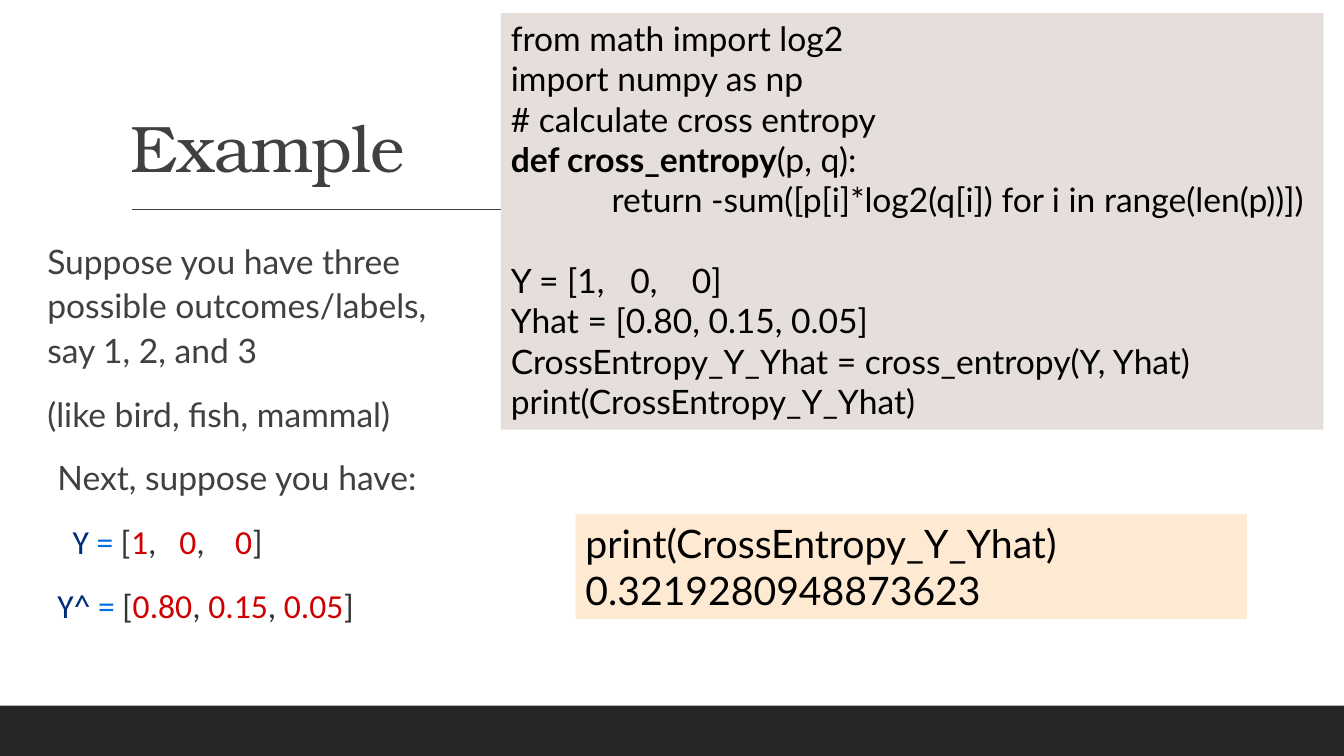
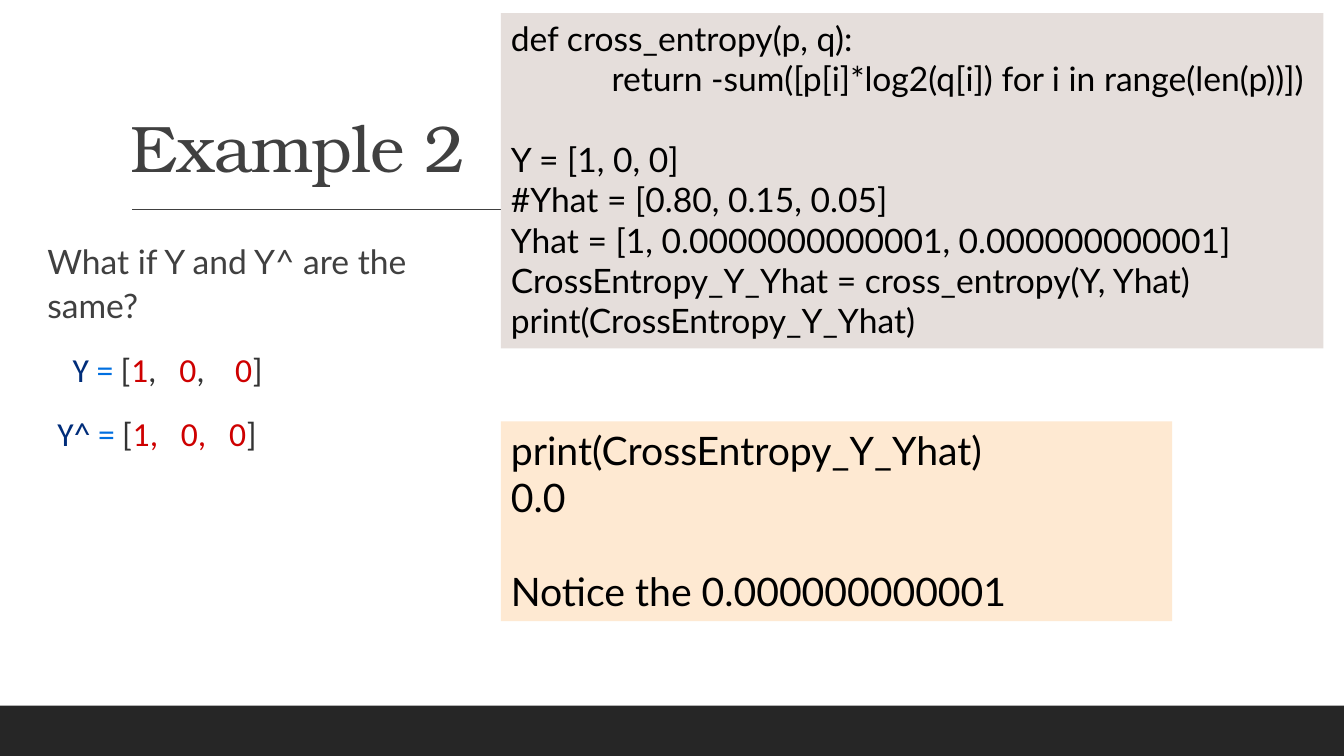
import itertools
from dataclasses import dataclass

import pptx
import pptx.dml.color
import pptx.enum.shapes
import pptx.enum.text
import pptx.oxml
import pptx.util
from pptx.util import Pt

# Shared look
SLIDE_W, SLIDE_H = 960, 540
BAND_H = 36
TITLE_FONT, TEXT_FONT, MATH_FONT = "TeX Gyre Bonum", "Lato", "Calibri"
BAND, GREY, BLACK = "262626", "404040", "000000"
NAVY, BLUE, DARK, RED = "002D7A", "006FE0", "333333", "CE0000"
CODE_FILL, OUTPUT_FILL = "E5DEDB", "FEE9D2"
CODE_SIZE, OUTPUT_SIZE, BODY_SIZE = 24, 28, 24
LINE_FACTOR = 1.21  # line height of the text font, per point of size
CODE_LEFT, CODE_TOP, CODE_W = 357.84, 9.36, 587.52
OUTPUT_W = 479.52
TAB = 72
SHAPE = pptx.enum.shapes.MSO_SHAPE
ANCHOR = pptx.enum.text.MSO_ANCHOR


@dataclass(frozen=True)
class Run:
    text: str
    color: str = BLACK
    font: str = TEXT_FONT
    bold: bool = False


@dataclass(frozen=True)
class Para:
    runs: tuple[Run, ...]
    indent: float = 0
    gap_lines: int = 0  # empty lines above


@dataclass(frozen=True)
class Panel:
    left: float
    top: float
    width: float
    fill: str
    size: float
    paras: tuple[Para, ...]


@dataclass(frozen=True)
class Example:
    title: str
    body: tuple[Para, ...]
    code: Panel
    output: Panel


# Text builders
def line(text: str, indent: float = 0, gap_lines: int = 0) -> Para:
    return Para((Run(text),), indent, gap_lines)


def prose(text: str, indent: float = 0) -> Para:
    return Para((Run(text, GREY),), indent)


def equation(name: str, indent: float, *parts: str) -> Para:
    """Parts alternate between punctuation and values."""
    values = zip(parts, itertools.cycle((DARK, RED)))
    pairs = [(name, NAVY), (" = ", BLUE), *values]
    return Para(tuple(Run(t, c, MATH_FONT) for t, c in pairs), indent)


# Drawing helpers
def rgb(color: str) -> pptx.dml.color.RGBColor:
    return pptx.dml.color.RGBColor.from_string(color)


def style_run(r, size: float, color: str, font: str, bold: bool = False) -> None:
    r.font.size = Pt(size)
    r.font.name = font
    r.font.bold = bold
    r.font.color.rgb = rgb(color)


def add_text(s, left: float, top: float, width: float, height: float):
    sp = s.shapes.add_textbox(Pt(left), Pt(top), Pt(width), Pt(height))
    sp.text_frame.word_wrap = True
    return sp


def fill_paras(tf, paras: tuple[Para, ...], size: float) -> None:
    for i, para in enumerate(paras):
        p = tf.add_paragraph() if i else tf.paragraphs[0]
        if para.indent:
            p._p.get_or_add_pPr().set("marL", str(Pt(para.indent)))
        if para.gap_lines:
            p.space_before = Pt(para.gap_lines * size * 1.2)
        for run in para.runs:
            r = p.add_run()
            r.text = run.text
            style_run(r, size, run.color, run.font, run.bold)


def draw_frame(s) -> None:
    """Bottom band and the rule below the title."""
    sp = s.shapes.add_shape(SHAPE.RECTANGLE, Pt(0), Pt(SLIDE_H - BAND_H),
                            Pt(SLIDE_W), Pt(BAND_H))
    sp.shadow.inherit = False
    sp.fill.solid()
    sp.fill.fore_color.rgb = rgb(BAND)
    sp.line.fill.background()
    rule = s.shapes.add_connector(pptx.enum.shapes.MSO_CONNECTOR.STRAIGHT,
                                  Pt(94.32), Pt(149.76), Pt(879.12), Pt(149.76))
    rule.line.color.rgb = rgb(GREY)
    rule.line.width = Pt(1)
    rule._element.spPr.append(pptx.oxml.parse_xml(
        '<a:effectLst xmlns:a="http://schemas.openxmlformats.org/drawingml/2006/main"/>'))


def draw_title(s, text: str) -> None:
    tf = add_text(s, 86.4, 22.32, 792, 114.48).text_frame
    tf.vertical_anchor = ANCHOR.BOTTOM
    tf.text = text
    p = tf.paragraphs[0]
    p.line_spacing = 0.9
    r = p.runs[0]
    style_run(r, 47, GREY, TITLE_FONT)
    r._r.get_or_add_rPr().set("spc", "-50")


def draw_body(s, paras: tuple[Para, ...]) -> None:
    tf = add_text(s, 33.84, 165.6, 298.08, 295.92).text_frame
    tf.margin_left = tf.margin_right = 0
    fill_paras(tf, paras, BODY_SIZE)
    for p in tf.paragraphs:
        p.line_spacing = 1.1
        p.space_before = Pt(12)
        p.space_after = Pt(2)


def draw_panel(s, panel: Panel) -> None:
    lines = sum(1 + para.gap_lines for para in panel.paras)
    height = lines * panel.size * LINE_FACTOR + 7.2
    sp = add_text(s, panel.left, panel.top, panel.width, height)
    sp.fill.solid()
    sp.fill.fore_color.rgb = rgb(panel.fill)
    sp.text_frame.auto_size = pptx.enum.text.MSO_AUTO_SIZE.SHAPE_TO_FIT_TEXT
    fill_paras(sp.text_frame, panel.paras, panel.size)


def code_panel(*paras: Para) -> Panel:
    return Panel(CODE_LEFT, CODE_TOP, CODE_W, CODE_FILL, CODE_SIZE, paras)


def output_panel(left: float, top: float, *paras: Para) -> Panel:
    return Panel(left, top, OUTPUT_W, OUTPUT_FILL, OUTPUT_SIZE, paras)


# Content
RETURN_LINE = line("return -sum([p[i]*log2(q[i]) for i in range(len(p))])", TAB)
PRINT_LINE = line("print(CrossEntropy_Y_Yhat)")
CALL_LINES = (line("CrossEntropy_Y_Yhat = cross_entropy(Y, Yhat)"), PRINT_LINE)
Y_EQUATION = equation("Y", 18, "[", "1", ",   ", "0", ",    ", "0", "]")

EXAMPLES = (
    Example(
        "Example",
        (prose("Suppose you have three possible outcomes/labels, say 1, 2, and 3"),
         prose("(like bird, fish, mammal)"),
         prose("Next, suppose you have:", 7.2),
         Y_EQUATION,
         equation("Y^", 7.2, "[", "0.80", ", ", "0.15", ", ", "0.05", "]")),
        code_panel(
            line("from math import log2"),
            line("import numpy as np"),
            line("# calculate cross entropy"),
            Para((Run("def cross_entropy", bold=True), Run("(p, q):"))),
            RETURN_LINE,
            line("Y = [1,   0,    0]", gap_lines=1),
            line("Yhat = [0.80, 0.15, 0.05]"),
            *CALL_LINES),
        output_panel(411.12, 367.2, PRINT_LINE, line("0.3219280948873623")),
    ),
    Example(
        "Example 2",
        (prose("What if Y and Y^ are the same?"),
         Y_EQUATION,
         equation("Y^", 7.2, "[", "1,   0,   0", "]")),
        code_panel(
            line("def cross_entropy(p, q):"),
            RETURN_LINE,
            line("Y = [1, 0, 0]", gap_lines=1),
            line("#Yhat = [0.80, 0.15, 0.05]"),
            line("Yhat = [1, 0.0000000000001, 0.000000000001]"),
            *CALL_LINES),
        output_panel(CODE_LEFT, 300.96, PRINT_LINE, line("0.0"),
                     line("Notice the 0.000000000001", gap_lines=1)),
    ),
)


def main() -> None:
    prs = pptx.Presentation()
    prs.slide_width, prs.slide_height = Pt(SLIDE_W), Pt(SLIDE_H)
    for example in EXAMPLES:
        s = prs.slides.add_slide(prs.slide_layouts[6])
        draw_frame(s)
        draw_title(s, example.title)
        draw_body(s, example.body)
        draw_panel(s, example.code)
        draw_panel(s, example.output)
    prs.save("out.pptx")


if __name__ == "__main__":
    main()
